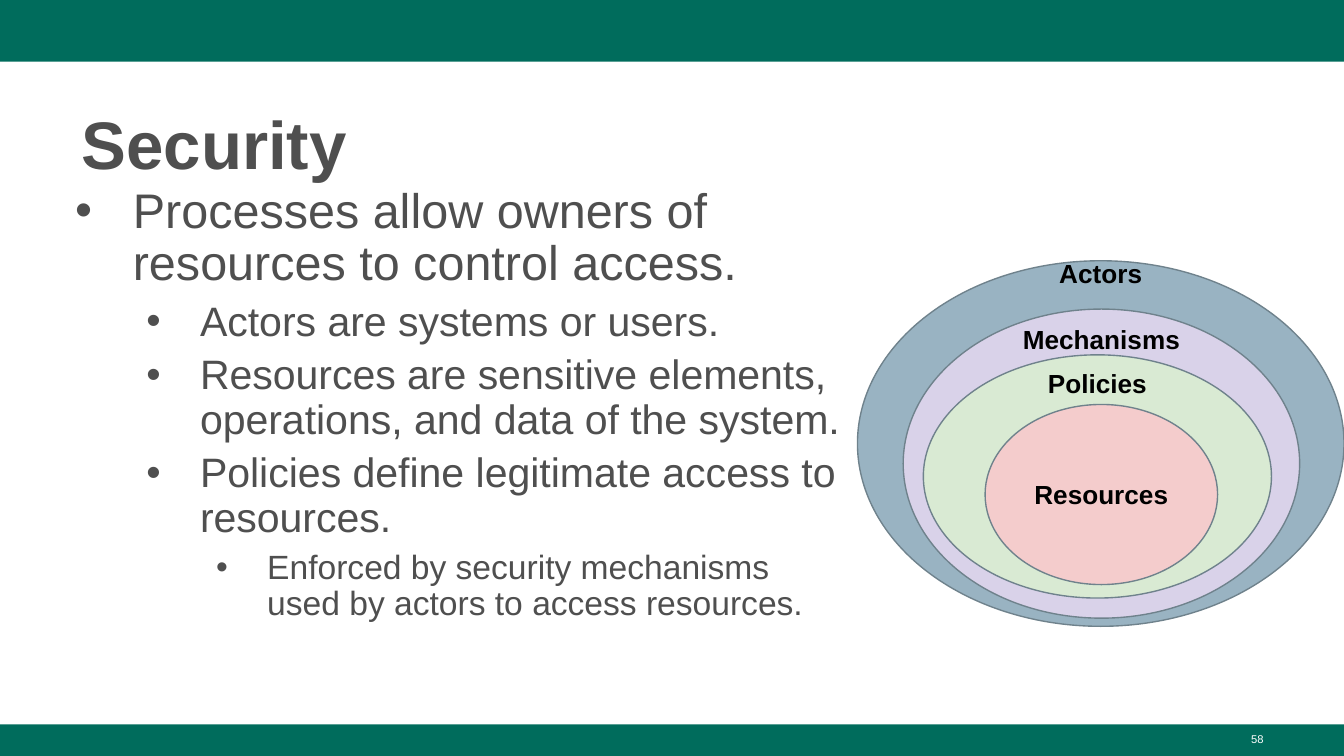
from lxml import etree
from pptx import Presentation
from pptx.dml.color import RGBColor
from pptx.enum.shapes import MSO_SHAPE
from pptx.enum.text import MSO_ANCHOR, PP_ALIGN
from pptx.oxml.ns import qn
from pptx.util import Inches, Pt

RECTANGLE, OVAL = MSO_SHAPE.RECTANGLE, MSO_SHAPE.OVAL
LEFT, CENTER, RIGHT = PP_ALIGN.LEFT, PP_ALIGN.CENTER, PP_ALIGN.RIGHT
MIDDLE = MSO_ANCHOR.MIDDLE

GREEN = RGBColor(0x00, 0x6C, 0x5C)
GRAY = RGBColor(0x4F, 0x4F, 0x4F)
WHITE = RGBColor(0xFF, 0xFF, 0xFF)
BLACK = RGBColor(0x00, 0x00, 0x00)
OUTLINE = RGBColor(0x6F, 0x82, 0x8C)
BLUE = RGBColor(0x99, 0xB3, 0xC2)
PURPLE = RGBColor(0xD9, 0xD2, 0xE9)
LIME = RGBColor(0xD9, 0xEA, 0xD3)
PINK = RGBColor(0xF4, 0xCC, 0xCC)

FONT = "Arial"
SLIDE_W = 10
SLIDE_H = SLIDE_W * 9 / 16
FOOTER_TOP = 5.39
LABEL_H = 0.3

TITLE = "Security"
PAGE_NUMBER = "58"
BULLETS = [  # level, text
    (0, "Processes allow owners of resources to control access."),
    (1, "Actors are systems or users."),
    (1, "Resources are sensitive elements, operations, and data of the system."),
    (1, "Policies define legitimate access to resources."),
    (2, "Enforced by security mechanisms used by actors to access resources."),
]
LEVELS = [(26, 0.43), (22, 0.4), (18, 0.38)]  # text size, hanging indent
BANDS = [(0, 0.46), (FOOTER_TOP, SLIDE_H - FOOTER_TOP)]  # top, height
RINGS = [  # label, fill, (left, top, width, height), label centre from slide top
    ("Actors", BLUE, (6.38, 1.94, 3.62, 2.72), 2.03),
    ("Mechanisms", PURPLE, (6.72, 2.3, 2.95, 2.3), 2.52),
    ("Policies", LIME, (6.87, 2.64, 2.59, 1.81), 2.85),
]
CORE = ("Resources", PINK, (7.33, 3.01, 1.73, 1.34))


def add_filled(slide, preset, box, fill):
    shape = slide.shapes.add_shape(preset, *map(Inches, box))
    shape.shadow.inherit = False
    shape.fill.solid()
    shape.fill.fore_color.rgb = fill
    return shape


def style(paragraph, size, color, bold=False, align=LEFT):
    paragraph.alignment = align
    font = paragraph.font
    font.name, font.size, font.bold = FONT, Pt(size), bold
    font.color.rgb = color


def write(frame, text, size, color, bold=False, align=LEFT):
    frame.word_wrap = True
    frame.text = text
    style(frame.paragraphs[0], size, color, bold, align)


def add_text_frame(slide, box):
    return slide.shapes.add_textbox(*map(Inches, box)).text_frame


def set_bullet(paragraph, level, hanging):
    props = paragraph._p.get_or_add_pPr()
    props.set("marL", str(Inches(0.5 * (level + 1))))
    props.set("indent", str(-Inches(hanging)))
    color = etree.SubElement(props, qn("a:buClr"))
    etree.SubElement(color, qn("a:srgbClr")).set("val", str(GRAY))
    etree.SubElement(props, qn("a:buFont")).set("typeface", FONT)
    etree.SubElement(props, qn("a:buChar")).set("char", "•")


def add_bullets(slide, box):
    frame = add_text_frame(slide, box)
    frame.word_wrap = True
    frame.text = "\n".join(text for _, text in BULLETS)
    for i, (paragraph, (level, _)) in enumerate(zip(frame.paragraphs, BULLETS)):
        size, hanging = LEVELS[level]
        paragraph.level = level
        set_bullet(paragraph, level, hanging)
        paragraph.line_spacing = 0.9
        paragraph.space_before = Pt(5 if i else 0)
        style(paragraph, size, GRAY)


def add_ellipse(slide, box, fill):
    ellipse = add_filled(slide, OVAL, box, fill)
    ellipse.line.color.rgb = OUTLINE
    ellipse.line.width = Pt(0.75)
    return ellipse


def add_layers(slide):
    """Nest the ellipses, labelling each ring near its top and the core inside."""
    for label, fill, box, label_y in RINGS:
        add_ellipse(slide, box, fill)
        left, _, width, _ = box
        frame = add_text_frame(slide, (left, label_y - LABEL_H / 2, width, LABEL_H))
        write(frame, label, 14, BLACK, True, CENTER)
        frame.vertical_anchor = MIDDLE
        frame.margin_top = frame.margin_bottom = 0
    label, fill, box = CORE
    frame = add_ellipse(slide, box, fill).text_frame
    write(frame, label, 14, BLACK, True, CENTER)
    frame.vertical_anchor = MIDDLE


def main():
    deck = Presentation()
    deck.slide_width, deck.slide_height = Inches(SLIDE_W), Inches(SLIDE_H)
    slide = deck.slides.add_slide(deck.slide_layouts[6])

    for top, height in BANDS:
        band = add_filled(slide, RECTANGLE, (0, top, SLIDE_W, height), GREEN)
        band.line.fill.background()

    title = add_text_frame(slide, (0.51, 0.67, 8.99, 0.73))
    write(title, TITLE, 36, GRAY, True)
    title.vertical_anchor = MIDDLE
    title.paragraphs[0].line_spacing = 1.08
    add_bullets(slide, (0.39, 1.34, 6, 3.87))
    number = add_text_frame(slide, (7.17, 5.4, 2.33, 0.23))
    write(number, PAGE_NUMBER, 6, WHITE, align=RIGHT)
    add_layers(slide)

    deck.save("out.pptx")


if __name__ == "__main__":
    main()
